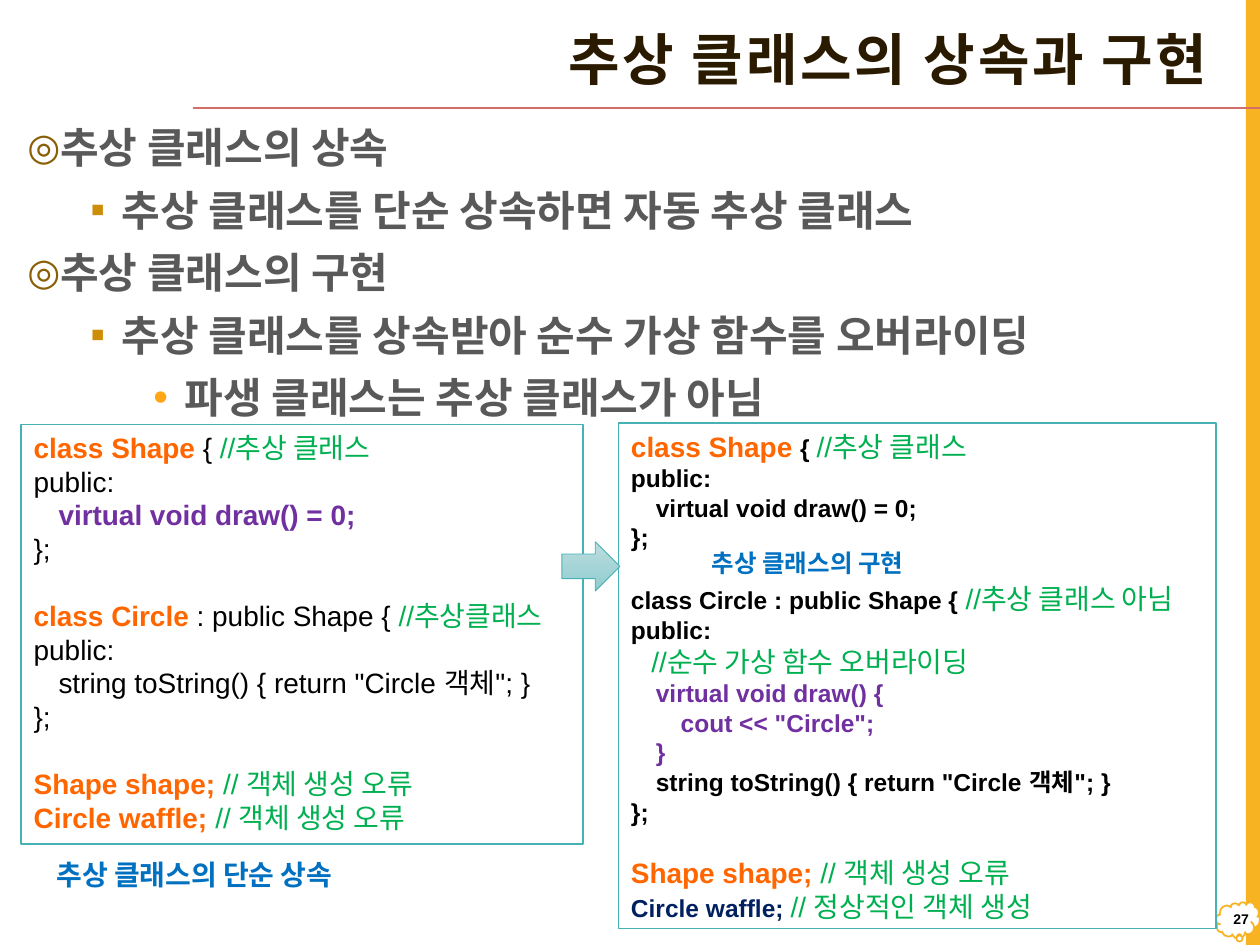
from pptx import Presentation
from pptx.util import Pt
from pptx.dml.color import RGBColor
from pptx.enum.shapes import MSO_CONNECTOR, MSO_SHAPE
from pptx.enum.text import MSO_ANCHOR, PP_ALIGN
from pptx.oxml.ns import qn
from lxml import etree

RECT, CLOUD, ARROW = MSO_SHAPE.RECTANGLE, MSO_SHAPE.CLOUD_CALLOUT, MSO_SHAPE.RIGHT_ARROW
TOP, MID = MSO_ANCHOR.TOP, MSO_ANCHOR.MIDDLE
LEFT, RIGHT = PP_ALIGN.LEFT, PP_ALIGN.RIGHT

HUE = {"gold": "F8B323", "white": "FFFFFF", "rose": "D36F68", "title": "2A1A00",
       "gray": "595959", "black": "000000", "teal": "46B2B5", "blue": "0070C0",
       "orange": "FF6600", "green": "00B050", "purple": "7030A0", "navy": "002060",
       "pale": "BCDDDF", "deep": "90CCCE"}

TITLE = "추상 클래스의 상속과 구현"
POINTS = [
    (0, "추상 클래스의 상속"),
    (1, "추상 클래스를 단순 상속하면 자동 추상 클래스"),
    (0, "추상 클래스의 구현"),
    (1, "추상 클래스를 상속받아 순수 가상 함수를 오버라이딩"),
    (2, "파생 클래스는 추상 클래스가 아님"),
]
# Bullet sign, colour and size in percent for each level
BULLETS = [("◎", "895E04", 90), ("▪", "CE8D07", 100), ("•", "FFA615", 100)]

# Code styles: size, colour, bold
STYLES = {
    "key": (16, "orange", True), "note": (16, "green", False),
    "code": (16, "black", False), "pure": (16, "purple", True),
    "bold": (14, "black", True), "draw": (14, "purple", True),
    "make": (14, "navy", True),
}
# Blocks of code lines; a blank line parts the blocks
SIMPLE = [
    [[("key", "class Shape "), ("code", "{ "), ("note", "//추상 클래스")],
     [("code", "public:")],
     [("code", "\t"), ("pure", "virtual void draw() = 0;")],
     [("code", "};")]],
    [[("key", "class Circle "), ("code", ": public Shape { "), ("note", "//추상클래스")],
     [("code", "public:")],
     [("code", "\tstring toString() { return \"Circle 객체\"; }")],
     [("code", "};")]],
    [[("key", "Shape shape; "), ("note", "// 객체 생성 오류")],
     [("key", "Circle waffle; "), ("note", "// 객체 생성 오류")]],
]
FULL = [
    [[("key", "class Shape "), ("bold", "{ "), ("note", "//추상 클래스")],
     [("bold", "public:")],
     [("bold", "\tvirtual void draw() = 0;")],
     [("bold", "};")]],
    [[("bold", "class Circle : public Shape { "), ("note", "//추상 클래스 아님")],
     [("bold", "public:")],
     [("bold", "   "), ("note", "//순수 가상 함수 오버라이딩")],
     [("bold", "\t"), ("draw", "virtual void draw() {")],
     [("draw", "\t\tcout << \"Circle\";")],
     [("draw", "\t}")],
     [("bold", "\tstring toString() { return \"Circle 객체\"; }")],
     [("bold", "};")]],
    [[("key", "Shape shape; "), ("note", "// 객체 생성 오류")],
     [("make", "Circle waffle; "), ("note", "// 정상적인 객체 생성")]],
]
# Box of each listing, its code and the height of its blank lines
LISTINGS = [((12.2, 242.6, 321.1, 239.8), SIMPLE, 19.2),
            ((353.5, 241.9, 341.3, 288.7), FULL, 16.9)]
PITCH = {16: 19.2, 14: 16.9}
TAB = 14.2
CAPTIONS = [((25.2, 486.7, 193, 26.6), "추상 클래스의 단순 상속", 16),
            ((399.6, 309.6, 137.5, 24.5), "추상 클래스의 구현", 14)]


def rgb(name):
    return RGBColor.from_string(HUE[name])


def style(font, size, hue, bold=True, face="Arial"):
    font.name, font.size, font.bold = face, Pt(size), bold
    font.color.rgb = rgb(hue)


def shape(kind, box, fill=None, line=None, width=1):
    item = slide.shapes.add_shape(kind, *map(Pt, box))
    item.shadow.inherit = False
    if fill:
        item.fill.solid()
        item.fill.fore_color.rgb = rgb(fill)
    if line:
        item.line.color.rgb = rgb(line)
        item.line.width = Pt(width)
    else:
        item.line.fill.background()
    return item


def label(box, text, size, hue, align=LEFT, anchor=TOP, wrap=False):
    frame = slide.shapes.add_textbox(*map(Pt, box)).text_frame
    frame.word_wrap, frame.vertical_anchor = wrap, anchor
    para = frame.paragraphs[0]
    para.text, para.alignment = text, align
    style(para.font, size, hue)


def paras(frame, count):
    for _ in range(count - 1):
        frame.add_paragraph()
    return frame.paragraphs


def child(node, tag, **attrs):
    return etree.SubElement(node, qn("a:" + tag), attrs)


def listing(box, blocks, gap):
    frame = shape(RECT, box, "white", "teal").text_frame
    frame.word_wrap, frame.vertical_anchor = True, TOP
    rows = [(n, i, row) for n, block in enumerate(blocks) for i, row in enumerate(block)]
    for para, (n, i, row) in zip(paras(frame, len(rows)), rows):
        para.alignment = LEFT
        para.line_spacing = Pt(max(PITCH[STYLES[key][0]] for key, _ in row))
        if n and not i:
            para.space_before = Pt(gap)
        tabs = child(para._p.get_or_add_pPr(), "tabLst")
        for stop in (1, 2):
            child(tabs, "tab", pos=str(Pt(TAB * stop)), algn="l")
        for key, text in row:
            run = para.add_run()
            run.text = text
            style(run.font, *STYLES[key])


deck = Presentation()
deck.slide_width, deck.slide_height = Pt(720), Pt(540)
slide = deck.slides.add_slide(deck.slide_layouts[5])

# Side band, page cloud and title rule
shape(RECT, (712, 0, 8, 540), "gold")
cloud = shape(CLOUD, (694.8, 515.5, 25.2, 20.9), "white", "gold")
cloud.adjustments[0], cloud.adjustments[1] = 0.03, 0.43
rule = slide.shapes.add_connector(MSO_CONNECTOR.STRAIGHT, Pt(720), Pt(61.9), Pt(110.2), Pt(61.9))
rule.line.color.rgb, rule.line.width = rgb("rose"), Pt(1)
child(rule._element.spPr, "effectLst")

# Title
title = slide.shapes.title
title.left, title.top, title.width, title.height = map(Pt, (95, 9.4, 602.6, 52.6))
title.text_frame.vertical_anchor = MID
head = title.text_frame.paragraphs[0]
head.alignment, head.line_spacing = RIGHT, 0.9
run = head.add_run()
run.text = TITLE
style(run.font, 32, "title", face="Arial Narrow")
run._r.get_or_add_rPr().set("spc", "150")

# Bulleted points
body = slide.shapes.add_textbox(*map(Pt, (8.6, 66.2, 686.2, 459.4))).text_frame
body.word_wrap = True
for n, (para, (level, text)) in enumerate(zip(paras(body, len(POINTS)), POINTS)):
    para.text, para.level, para.line_spacing = text, level, Pt(28.7)
    if n:
        para.space_before = Pt(7)
    sign, hue, size = BULLETS[level]
    props = para._p.get_or_add_pPr()
    props.set("marL", str(Pt(18 + 36 * level)))
    props.set("indent", str(-Pt(18)))
    child(child(props, "buClr"), "srgbClr", val=hue)
    child(props, "buSzPct", val=str(size * 1000))
    child(props, "buFont", typeface="Arial")
    child(props, "buChar", char=sign)
    style(para.font, 24, "gray")

# Page number
label((695.5, 512.6, 25.2, 25.2), "27", 8, "black", RIGHT, MID, True)

# Code listings
for box, blocks, gap in LISTINGS:
    listing(box, blocks, gap)

# Arrow between the listings
arrow = shape(ARROW, (321.1, 309.6, 33.1, 28.1), line="teal", width=0.5)
arrow.fill.gradient()
arrow.fill.gradient_angle = 270
for stop, hue in zip(arrow.fill.gradient_stops, ("pale", "deep")):
    stop.color.rgb = rgb(hue)

# Captions
for box, text, size in CAPTIONS:
    label(box, text, size, "blue")

deck.save("out.pptx")
